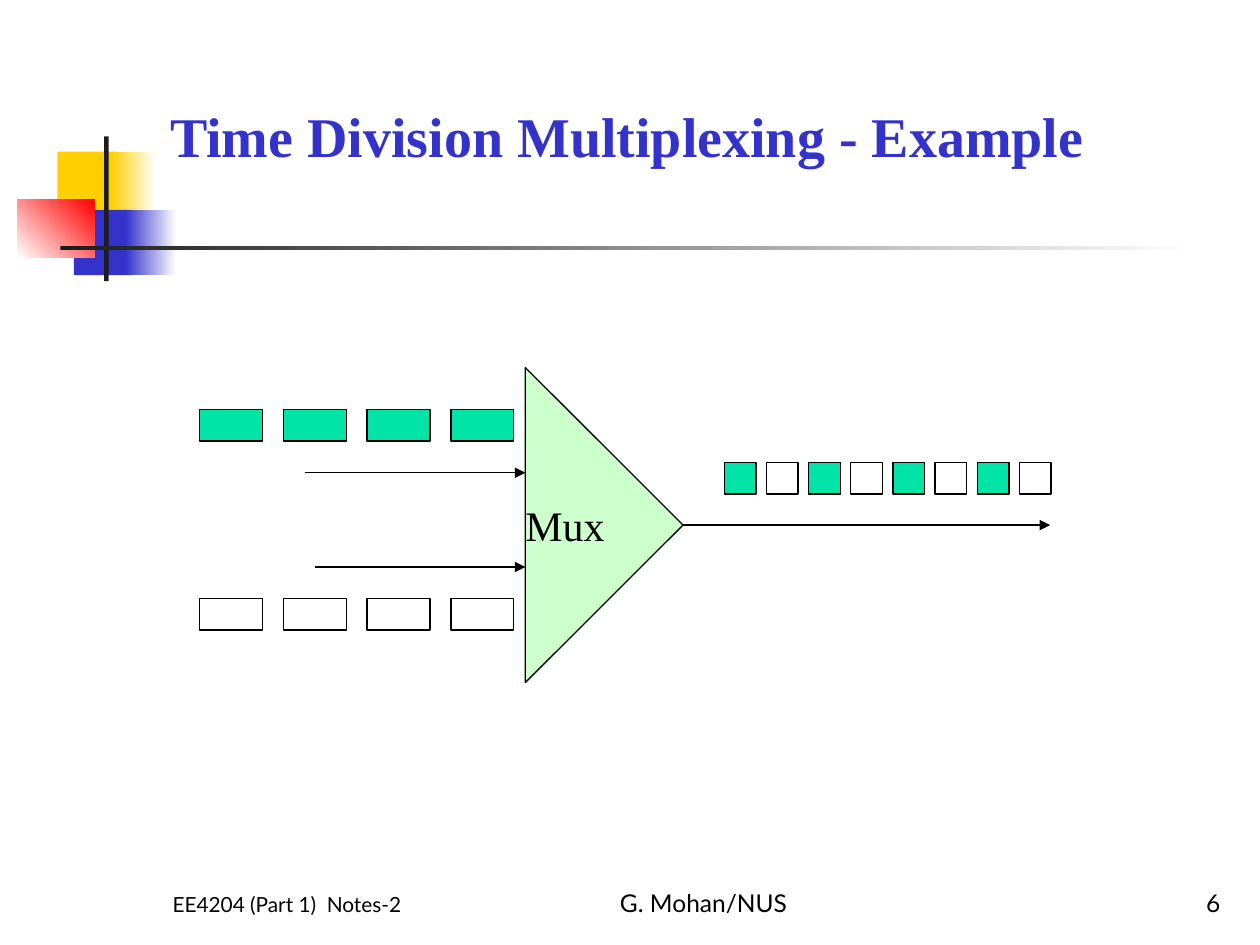
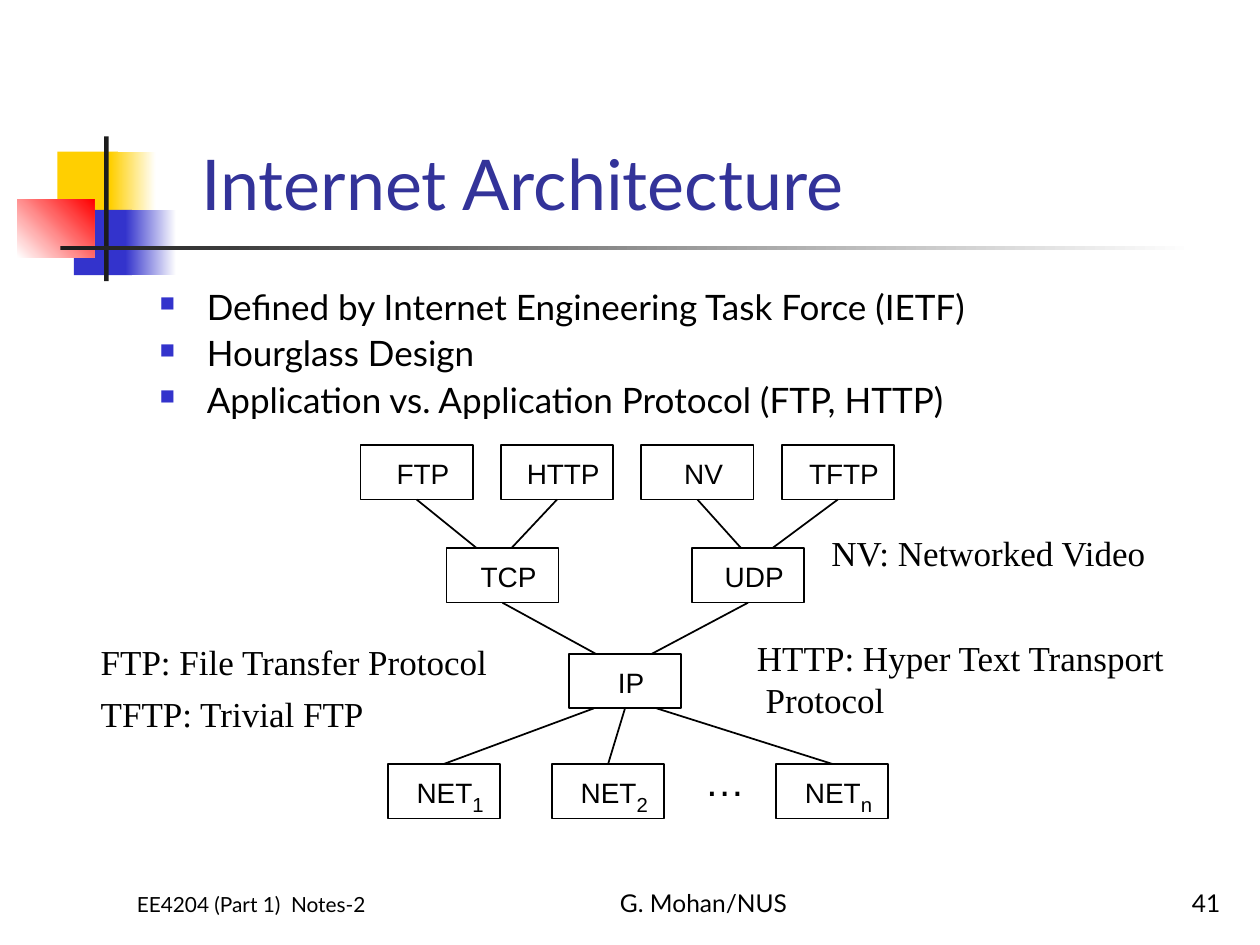
import pptx
import pptx.dml.color
import pptx.enum.shapes
import pptx.enum.text
import pptx.oxml.ns
import pptx.util
from lxml import etree

Cm = pptx.util.Cm
Pt = pptx.util.Pt
RGBColor = pptx.dml.color.RGBColor
SHAPE = pptx.enum.shapes.MSO_SHAPE
ALIGN = pptx.enum.text.PP_ALIGN
ANCHOR = pptx.enum.text.MSO_ANCHOR
qn = pptx.oxml.ns.qn

BLACK = RGBColor(0x00, 0x00, 0x00)
WHITE = RGBColor(0xFF, 0xFF, 0xFF)
CHARCOAL = RGBColor(0x1C, 0x1C, 0x1C)
YELLOW = RGBColor(0xFF, 0xCF, 0x01)
BLUE = RGBColor(0x33, 0x33, 0xCC)
TITLE_BLUE = RGBColor(0x33, 0x33, 0x99)
RED = RGBColor(0xFF, 0x00, 0x00)
TEAL = RGBColor(0x00, 0xE4, 0xA8)
PALE_GREEN = RGBColor(0xCC, 0xFF, 0xCC)

SANS, SERIF, LABEL = "Lato", "Times New Roman", "Arial"
INSETS = (0.25, 0.13, 0.25, 0.13)
TOP, LEFT, BOTTOM, RIGHT = range(4)


def add_block(slide, x, y, w, h, fill=None, line=None, kind=SHAPE.RECTANGLE):
    """Add a preset shape; fill is a colour, a (start, end) gradient or None."""
    sp = slide.shapes.add_shape(kind, Cm(x), Cm(y), Cm(w), Cm(h))
    sp.shadow.inherit = False
    if fill is None:
        sp.fill.background()
    elif isinstance(fill, RGBColor):
        sp.fill.solid()
        sp.fill.fore_color.rgb = fill
    else:
        sp.fill.gradient()
        sp.fill.gradient_angle = 0
        for stop, colour in zip(sp.fill.gradient_stops, fill):
            stop.color.rgb = colour
    if line is None:
        sp.line.fill.background()
    else:
        sp.line.color.rgb = BLACK
        sp.line.width = Pt(line)
    return sp


def style_run(r, font, size, color=BLACK, bold=False):
    r.font.name = font
    r.font.size = Pt(size)
    r.font.color.rgb = color
    r.font.bold = bold


def set_frame(tf, insets, anchor):
    tf.word_wrap = True
    tf.vertical_anchor = anchor
    tf.margin_left, tf.margin_top, tf.margin_right, tf.margin_bottom = map(Cm, insets)


def add_text(slide, x, y, w, h, text, font, size, color=BLACK, bold=False,
             align=ALIGN.LEFT, anchor=ANCHOR.TOP, insets=INSETS, spacing=None):
    sp = slide.shapes.add_textbox(Cm(x), Cm(y), Cm(w), Cm(h))
    tf = sp.text_frame
    set_frame(tf, insets, anchor)
    tf.text = text
    for p in tf.paragraphs:
        p.alignment = align
        p.line_spacing = spacing
        for r in p.runs:
            style_run(r, font, size, color, bold)
    return sp


def add_line(slide, begin, end, width, arrow=False):
    """Each end is an (x, y) point in cm or a (shape, side) pair to join."""
    points = [(0, 0) if hasattr(e[0], "shape_id") else e for e in (begin, end)]
    (x1, y1), (x2, y2) = points
    line = slide.shapes.add_connector(pptx.enum.shapes.MSO_CONNECTOR.STRAIGHT,
                                      Cm(x1), Cm(y1), Cm(x2), Cm(y2))
    if hasattr(begin[0], "shape_id"):
        line.begin_connect(*begin)
    if hasattr(end[0], "shape_id"):
        line.end_connect(*end)
    line.line.color.rgb = BLACK
    line.line.width = Pt(width)
    if arrow:
        ln = line.line._get_or_add_ln()
        etree.SubElement(ln, qn("a:tailEnd"), type="triangle")
    etree.SubElement(line._element.spPr, qn("a:effectLst"))


def add_emblem(slide, x, y):
    """Coloured squares with the cross bars, shared by all slides."""
    add_block(slide, x + 0.81, y + 0.31, 1.22, 1.32, YELLOW)
    add_block(slide, x + 1.88, y + 0.31, 0.91, 1.32, (YELLOW, WHITE))
    add_block(slide, x + 1.14, y + 1.48, 1.17, 1.32, BLUE)
    add_block(slide, x + 2.18, y + 1.48, 1.02, 1.32, (BLUE, WHITE))
    red = add_block(slide, x, y + 1.27, 1.55, 1.17, (WHITE, RED))
    red.fill.gradient_angle = 45
    add_block(slide, x + 1.75, y, 0.09, 2.92, CHARCOAL)
    add_block(slide, x + 0.87, y + 2.2, 22.86, 0.09, (CHARCOAL, WHITE))


def add_footer(slide, y, course_x, number):
    fields = [
        (course_x, 5.29, "EE4204 (Part 1)  Notes-2", 11.9, ALIGN.LEFT, 0.9),
        (10.16, 8.05, "G. Mohan/NUS", 14, ALIGN.CENTER, None),
        (19.56, 5.29, str(number), 14, ALIGN.RIGHT, None),
    ]
    for x, w, text, size, align, spacing in fields:
        add_text(slide, x, y, w, 1.27, text, SANS, size, align=align,
                 anchor=ANCHOR.BOTTOM, spacing=spacing)


def add_base_slide(prs, course_x, number):
    slide = prs.slides.add_slide(prs.slide_layouts[6])
    add_emblem(slide, 0.35, 2.75)
    add_footer(slide, 17.35, course_x, number)
    return slide


def add_mux_diagram(slide, x, y):
    mux_x, mux_w, mux_h = x + 6.57, 3.18, 6.35
    middle = y + mux_h / 2
    # The triangle is turned, so its unrotated box swaps width and height.
    mux = add_block(slide, mux_x + (mux_w - mux_h) / 2, middle - mux_w / 2,
                    mux_h, mux_w, PALE_GREEN, 0.75, SHAPE.ISOSCELES_TRIANGLE)
    mux.rotation = 90
    add_text(slide, mux_x, middle - 0.6, 2.2, 1.2, "Mux", SERIF, 24,
             anchor=ANCHOR.MIDDLE, insets=(0, 0, 0, 0))

    for row_y, fill in ((0.84, TEAL), (4.65, WHITE)):
        for i in range(4):
            add_block(slide, x + 1.69 * i, y + row_y, 1.27, 0.64, fill, 0.75)
    for i in range(8):
        add_block(slide, x + 10.58 + 0.85 * i, y + 1.91, 0.64, 0.64,
                  (TEAL, WHITE)[i % 2], 0.75)

    for start_x, arrow_y in ((2.12, 2.12), (2.33, 4.02)):
        add_line(slide, (x + start_x, y + arrow_y), (mux_x, y + arrow_y), 0.75, True)
    add_line(slide, (mux_x + mux_w, middle), (x + 17.15, middle), 0.75, True)


def add_protocol(slide, x, y, name, subscript=""):
    sp = add_block(slide, x, y, 2.26, 1.1, line=1)
    set_frame(sp.text_frame, (0.25, 0.05, 0, 0), ANCHOR.MIDDLE)
    p = sp.text_frame.paragraphs[0]
    p.text = name
    p.alignment = ALIGN.CENTER
    style_run(p.runs[0], LABEL, 16)
    if subscript:
        r = p.add_run()
        r.text = subscript
        style_run(r, LABEL, 20)
        r.font._element.set("baseline", "-25000")
    return sp


def add_hourglass(slide, x, y):
    """Protocol stack from applications through IP down to the networks."""
    transport_y, ip_y, net_y = y + 2.08, y + 4.21, y + 6.43
    ftp, http, nv, tftp = [add_protocol(slide, x + 2.83 * i, y, name)
                           for i, name in enumerate(("FTP", "HTTP", "NV", "TFTP"))]
    tcp = add_protocol(slide, x + 1.73, transport_y, "TCP")
    udp = add_protocol(slide, x + 6.68, transport_y, "UDP")
    ip = add_protocol(slide, x + 4.2, ip_y, "IP")
    nets = [add_protocol(slide, x + dx, net_y, "NET", sub)
            for dx, sub in ((0.55, "1"), (3.86, "2"), (8.38, "n"))]
    add_text(slide, x + 6.84, y + 6.27, 1, 0.97, "…", LABEL, 23,
             align=ALIGN.CENTER, insets=(0, 0, 0, 0))

    for upper, end_x, end_y in ((ftp, 2.34, transport_y), (http, 3.04, transport_y),
                                (nv, 7.67, transport_y), (tftp, 8.3, transport_y),
                                (tcp, 4.74, ip_y), (udp, 5.87, ip_y)):
        add_line(slide, (upper, BOTTOM), (x + end_x, end_y), 1)
    ip_bottom = ip_y + 1.1
    starts = ((x + 4.7, ip_bottom), (ip, BOTTOM), (x + 5.97, ip_bottom))
    for start, net in zip(starts, nets):
        add_line(slide, start, (net, TOP), 1)


def add_bullets(slide, x, y, w, h, items):
    sp = add_text(slide, x, y, w, h, "\n".join(items), SANS, 20, spacing=0.9)
    for i, p in enumerate(sp.text_frame.paragraphs):
        if i:
            p.space_before = Pt(5)
        pPr = p._p.get_or_add_pPr()
        pPr.set("marL", str(Cm(0.95)))
        pPr.set("indent", str(-Cm(0.95)))
        colour = etree.SubElement(pPr, qn("a:buClr"))
        etree.SubElement(colour, qn("a:srgbClr"), val=str(BLUE))
        etree.SubElement(pPr, qn("a:buSzPct"), val="60000")
        etree.SubElement(pPr, qn("a:buChar"), char="■")


def build_multiplexing(prs):
    slide = add_base_slide(prs, 3.23, 6)
    add_text(slide, 3.18, 1.91, 19.89, 1.63, "Time Division Multiplexing - Example",
             SERIF, 32, BLUE, bold=True)
    add_mux_diagram(slide, 4.02, 7.41)


def build_architecture(prs):
    slide = add_base_slide(prs, 2.51, 41)
    add_text(slide, 3.81, 1.47, 21.59, 3.18, "Internet Architecture", SANS, 40,
             TITLE_BLUE, anchor=ANCHOR.BOTTOM)
    add_bullets(slide, 2.97, 5.72, 22.43, 3.2, (
        "Defined by Internet Engineering Task Force (IETF)",
        "Hourglass Design",
        "Application vs. Application Protocol (FTP, HTTP)",
    ))
    add_hourglass(slide, 7.27, 8.97)
    for x, y, w, h, text in (
        (1.78, 12.78, 11.23, 1.12, "FTP: File Transfer Protocol"),
        (1.78, 13.84, 7.82, 1.12, "TFTP: Trivial FTP"),
        (15.01, 12.7, 9.2, 1.96, "HTTP: Hyper Text Transport\n Protocol"),
        (16.51, 10.59, 8.26, 1.12, "NV: Networked Video"),
    ):
        add_text(slide, x, y, w, h, text, SERIF, 20)


def main():
    prs = pptx.Presentation()
    prs.slide_width, prs.slide_height = Cm(25.4), Cm(19.05)
    build_multiplexing(prs)
    build_architecture(prs)
    prs.save("out.pptx")


if __name__ == "__main__":
    main()
